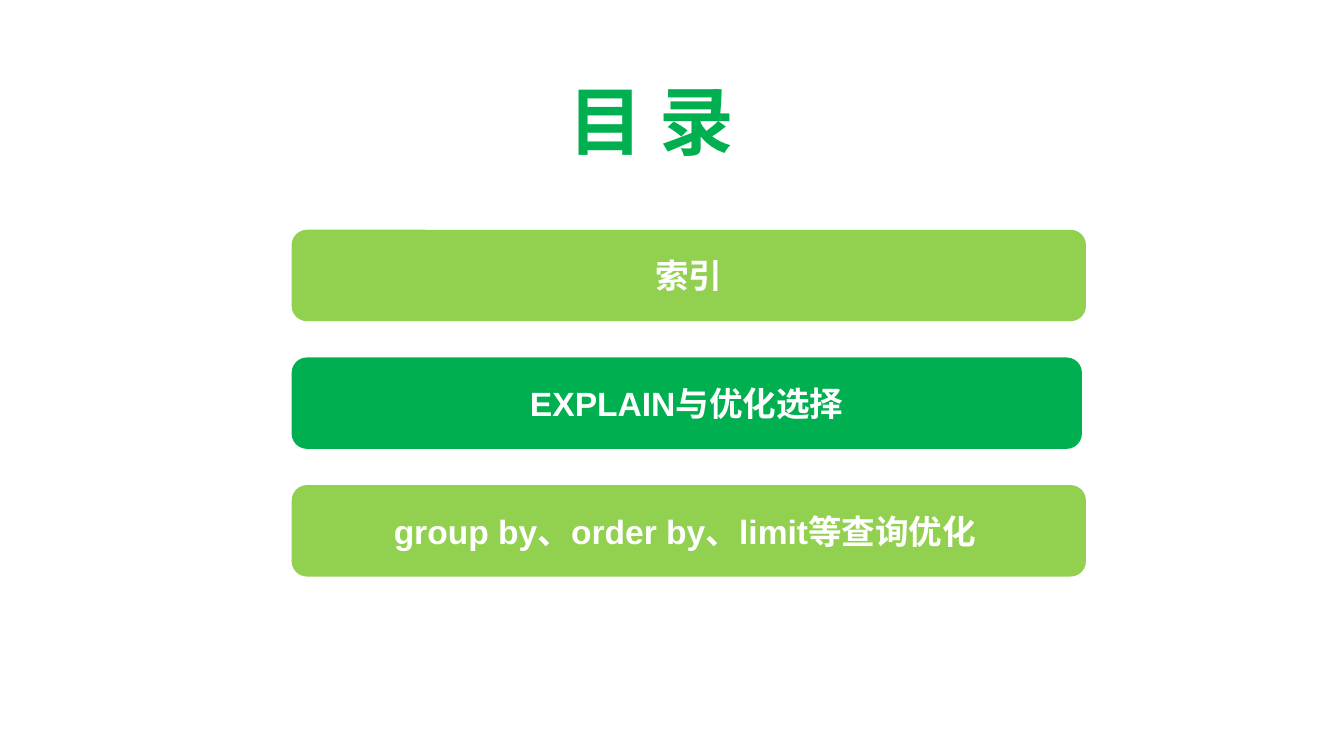
"""Build a contents slide with a title and three topic bars."""
import dataclasses

import pptx
import pptx.dml.color
import pptx.enum.shapes
import pptx.enum.text
import pptx.slide
import pptx.text.text
import pptx.util


@dataclasses.dataclass(frozen=True)
class Theme:
    font: str = "Arial"
    light_green: str = "92D050"
    green: str = "00B050"
    white: str = "FFFFFF"
    title_size: int = 40
    topic_size: int = 18


@dataclasses.dataclass(frozen=True)
class Grid:
    page_width: float = 10
    page_height: float = 10 * 9 / 16
    left: float = 2.17
    top: float = 1.71
    row_pitch: float = 0.95
    row_height: float = 0.68


@dataclasses.dataclass(frozen=True)
class Topic:
    text: str
    fill: str
    width: float


THEME = Theme()
GRID = Grid()
ALIGN = pptx.enum.text.PP_ALIGN
TOPICS = (
    Topic("索引", THEME.light_green, 5.91),
    Topic("EXPLAIN与优化选择", THEME.green, 5.88),
    Topic("group by、order by、limit等查询优化 ", THEME.light_green, 5.91),
)


def write_text(frame: pptx.text.text.TextFrame, text: str, *, size: int,
               color: str, align: ALIGN) -> None:
    para = frame.paragraphs[0]
    para.alignment = align
    span = para.add_run()
    span.text = text
    span.font.name = THEME.font
    span.font.size = pptx.util.Pt(size)
    span.font.bold = True
    span.font.color.rgb = pptx.dml.color.RGBColor.from_string(color)


def draw_title(page: pptx.slide.Slide, text: str) -> None:
    inches = pptx.util.Inches
    box = page.shapes.add_textbox(inches(4.13), inches(0.51), inches(1.54), inches(0.77))
    box.text_frame.word_wrap = True
    box.text_frame.auto_size = pptx.enum.text.MSO_AUTO_SIZE.SHAPE_TO_FIT_TEXT
    write_text(box.text_frame, text, size=THEME.title_size, color=THEME.green,
               align=ALIGN.LEFT)


def draw_topic(page: pptx.slide.Slide, row: int, topic: Topic) -> None:
    inches = pptx.util.Inches
    bar = page.shapes.add_shape(
        pptx.enum.shapes.MSO_SHAPE.ROUNDED_RECTANGLE,
        inches(GRID.left), inches(GRID.top + row * GRID.row_pitch),
        inches(topic.width), inches(GRID.row_height))
    bar.shadow.inherit = False
    bar.fill.solid()
    bar.fill.fore_color.rgb = pptx.dml.color.RGBColor.from_string(topic.fill)
    bar.line.fill.background()
    bar.text_frame.word_wrap = True
    bar.text_frame.vertical_anchor = pptx.enum.text.MSO_ANCHOR.MIDDLE
    write_text(bar.text_frame, topic.text, size=THEME.topic_size,
               color=THEME.white, align=ALIGN.CENTER)


def main() -> None:
    deck = pptx.Presentation()
    deck.slide_width = pptx.util.Inches(GRID.page_width)
    deck.slide_height = pptx.util.Inches(GRID.page_height)
    page = deck.slides.add_slide(deck.slide_layouts[6])
    draw_title(page, "目 录")
    for row, topic in enumerate(TOPICS):
        draw_topic(page, row, topic)
    deck.save("out.pptx")


if __name__ == "__main__":
    main()
